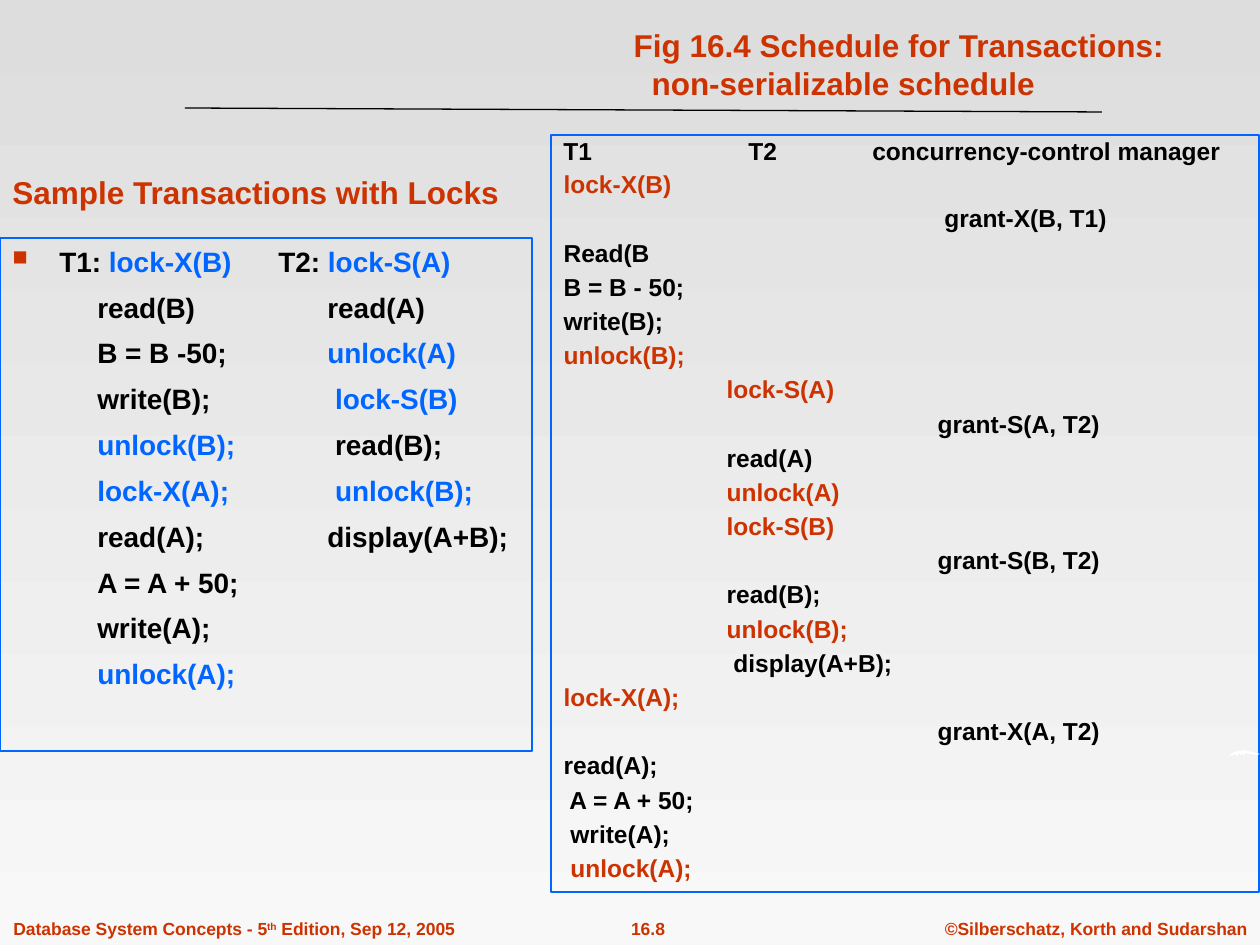
from lxml import etree
from pptx import Presentation
from pptx.dml.color import RGBColor
from pptx.enum.shapes import MSO_CONNECTOR
from pptx.enum.text import MSO_ANCHOR, MSO_AUTO_SIZE, PP_ALIGN
from pptx.oxml.ns import qn
from pptx.util import Emu, Pt

STRAIGHT = MSO_CONNECTOR.STRAIGHT
TOP, BOTTOM = MSO_ANCHOR.TOP, MSO_ANCHOR.BOTTOM
NO_AUTOFIT = MSO_AUTO_SIZE.NONE
LEFT, CENTER = PP_ALIGN.LEFT, PP_ALIGN.CENTER

RED = RGBColor(0xCC, 0x33, 0x00)
BLUE = RGBColor(0x00, 0x66, 0xFF)
BLACK = RGBColor(0x00, 0x00, 0x00)
WHITE = RGBColor(0xFF, 0xFF, 0xFF)
GRAY_TOP = RGBColor(0xDD, 0xDD, 0xDD)
GRAY_BOTTOM = RGBColor(0xF8, 0xF8, 0xF8)

FONT = "Arial"
PX_PER_INCH = 126
HANG = 47

SCHEDULE_HEADER = "T1\tT2\tconcurrency-control manager"
T1, T2, MANAGER = 0, 163, 374
SCHEDULE_STEPS = [
    (T1, "|lock-X(B)|"), (MANAGER, " grant-X(B, T1)"), (T1, "Read(B"),
    (T1, "B = B - 50;"), (T1, "write(B);"), (T1, "|unlock(B);|"),
    (T2, "|lock-S(A)|"), (MANAGER, "grant-S(A, T2)"), (T2, "read(A)"),
    (T2, "|unlock(A)|"), (T2, "|lock-S(B)|"), (MANAGER, "grant-S(B, T2)"),
    (T2, "read(B);"), (T2, "|unlock(B);|"), (T2, " display(A+B);"),
    (T1, "|lock-X(A);|"), (MANAGER, "grant-X(A, T2)"), (T1, "read(A);"),
    (T1, " A = A + 50;"), (T1, " write(A);"), (T1, " |unlock(A);|"),
]
SAMPLE_HEADER = "T1: |lock-X(B)|\tT2: |lock-S(A)|"
SAMPLE_STEPS = [
    "\tread(B)\tread(A)", "\tB = B -50;\t|unlock(A)|",
    "\twrite(B);\t |lock-S(B)|", "\t|unlock(B);|\t read(B);",
    "\t|lock-X(A);\t unlock(B);|", "\tread(A);\tdisplay(A+B);",
    "\tA = A + 50;", "\twrite(A);", "\t|unlock(A);|",
]
SWOOSH = [
    (1229, 757), (1232, 753), (1238, 751), (1245, 750), (1252, 752),
    (1260, 754), (1257, 755), (1245, 753), (1244, 756), (1241, 753),
    (1241, 756), (1238, 753), (1238, 756), (1235, 754),
]


def px(length):
    """Turn px into EMU."""
    return Emu(round(length * 914400 / PX_PER_INCH))


def place(shape, box):
    """Move a shape to a px box of left, top, width and height."""
    shape.left, shape.top, shape.width, shape.height = map(px, box)


def prepare_frame(shape, anchor=TOP, wrap=True):
    """Set the text frame's wrapping and anchor."""
    frame = shape.text_frame
    frame.auto_size = NO_AUTOFIT
    frame.word_wrap = wrap
    frame.vertical_anchor = anchor
    return frame


def next_paragraph(frame, index):
    """Return the first paragraph or add one."""
    return frame.add_paragraph() if index else frame.paragraphs[0]


def set_indent(para, margin, indent=0):
    """Set a paragraph's indents in px, without a bullet."""
    props = para._p.get_or_add_pPr()
    props.set("marL", str(px(margin)))
    props.set("indent", str(px(indent)))
    if not indent:
        etree.SubElement(props, qn("a:buNone"))


def set_bullet(para, char):
    """Give a paragraph a red bullet."""
    props = para._p.get_or_add_pPr()
    color = etree.SubElement(props, qn("a:buClr"))
    etree.SubElement(color, qn("a:srgbClr"), val=str(RED))
    etree.SubElement(props, qn("a:buSzPct"), val="75000")
    etree.SubElement(props, qn("a:buChar"), char=char)


def set_tabs(para, *tabs):
    """Set left tab stops in px."""
    stops = etree.SubElement(para._p.get_or_add_pPr(), qn("a:tabLst"))
    for tab in tabs:
        etree.SubElement(stops, qn("a:tab"), pos=str(px(tab)), algn="l")


def set_font(para, size, color):
    """Give a paragraph the slide's bold font."""
    font = para.font
    font.name, font.size, font.bold = FONT, Pt(size), True
    font.color.rgb = color


def add_marked_text(para, text, highlight):
    """Add spans, colouring the parts between bars."""
    for index, part in enumerate(text.split("|")):
        if part:
            span = para.add_run()
            span.text = part
            if index % 2:
                span.font.color.rgb = highlight


def outline(shape):
    """Draw a thin blue border without fill."""
    shape.fill.background()
    shape.line.color.rgb = BLUE
    shape.line.width = Pt(0.75)


def fill_background(page):
    """Shade the page from top to bottom."""
    fill = page.background.fill
    fill.gradient()
    fill.gradient_angle = 270
    for stop, color in zip(fill.gradient_stops, (GRAY_TOP, GRAY_BOTTOM)):
        stop.color.rgb = color


def write_title(page, box):
    """Write the two-line title."""
    title = page.shapes.title
    place(title, box)
    frame = prepare_frame(title, BOTTOM)
    lines = [("Fig 16.4 Schedule for Transactions:", 0), ("non-serializable schedule", 18)]
    for index, (text, margin) in enumerate(lines):
        para = next_paragraph(frame, index)
        para.text = text
        para.alignment = LEFT
        set_indent(para, margin)
        set_font(para, 18, RED)


def write_schedule(page, box):
    """List the schedule below its column headings."""
    left, top, width, height = box
    body = page.placeholders[1]
    place(body, box)
    outline(body)
    frame = prepare_frame(body)
    frame.margin_top = px(40)
    for index, (column, text) in enumerate(SCHEDULE_STEPS):
        para = next_paragraph(frame, index)
        set_indent(para, column)
        para.line_spacing = 0.8
        para.space_before = Pt(6.1 if index else 0)
        set_font(para, 14, BLACK)
        add_marked_text(para, text, RED)
    header = page.shapes.add_textbox(*map(px, (left, top, width, 34)))
    para = prepare_frame(header).paragraphs[0]
    set_tabs(para, 185, 309)
    para.line_spacing = 0.8
    set_font(para, 14, BLACK)
    add_marked_text(para, SCHEDULE_HEADER, RED)


def write_samples(page, box):
    """List the two sample transactions side by side."""
    panel = page.shapes.add_textbox(*map(px, box))
    outline(panel)
    frame = prepare_frame(panel)
    for index, text in enumerate([SAMPLE_HEADER, *SAMPLE_STEPS]):
        para = next_paragraph(frame, index)
        if index:
            set_tabs(para, 85, 315)
        else:
            set_indent(para, HANG, -HANG)
            set_bullet(para, "■")
            set_tabs(para, 266 - HANG, 266)
        para.space_before = Pt(7 if index else 0)
        set_font(para, 16, BLACK)
        add_marked_text(para, text, BLUE)


def write_label(page, box, text, size, anchor=TOP, align=LEFT, wrap=True):
    """Write one red line of text."""
    label = page.shapes.add_textbox(*map(px, box))
    para = prepare_frame(label, anchor, wrap).paragraphs[0]
    para.alignment = align
    set_font(para, size, RED)
    add_marked_text(para, text, RED)
    return para


def write_footer(page, top, height):
    """Write the edition, page number and copyright line."""
    edition = write_label(page, (1, top, 466, height),
                          "Database System Concepts - 5|th| Edition, Sep 12, 2005", 10, wrap=False)
    edition.runs[1].font._element.set("baseline", "30000")
    for left, width, text in [(581, 134, "16.8"), (932, 328, "©Silberschatz, Korth and Sudarshan")]:
        write_label(page, (left, top, width, height), text, 10, align=CENTER, wrap=False)


def draw_rule(page, start, end):
    """Draw the thin line below the title."""
    rule = page.shapes.add_connector(STRAIGHT, *map(px, start + end))
    rule.line.color.rgb = BLACK
    rule.line.width = Pt(0.75)
    etree.SubElement(rule._element.spPr, qn("a:effectLst"))


def draw_swoosh(page):
    """Draw the small white mark at the right edge."""
    builder = page.shapes.build_freeform(*SWOOSH[0], scale=914400 / PX_PER_INCH)
    builder.add_line_segments(SWOOSH[1:], close=True)
    swoosh = builder.convert_to_shape()
    swoosh.shadow.inherit = False
    swoosh.fill.solid()
    swoosh.fill.fore_color.rgb = WHITE
    swoosh.line.fill.background()


def main():
    """Build and save the slide."""
    deck = Presentation()
    deck.slide_width, deck.slide_height = px(1260), px(945)
    page = deck.slides.add_slide(deck.slide_layouts[1])
    fill_background(page)
    draw_swoosh(page)
    write_footer(page, 912, 34)
    write_title(page, (621, 22, 576, 86))
    write_schedule(page, (551, 135, 708, 757))
    draw_rule(page, (185, 108), (1102, 112))
    write_samples(page, (0, 238, 532, 513))
    write_label(page, (0, 133, 532, 84), "Sample Transactions with Locks", 18, BOTTOM)
    deck.save("out.pptx")


if __name__ == "__main__":
    main()
